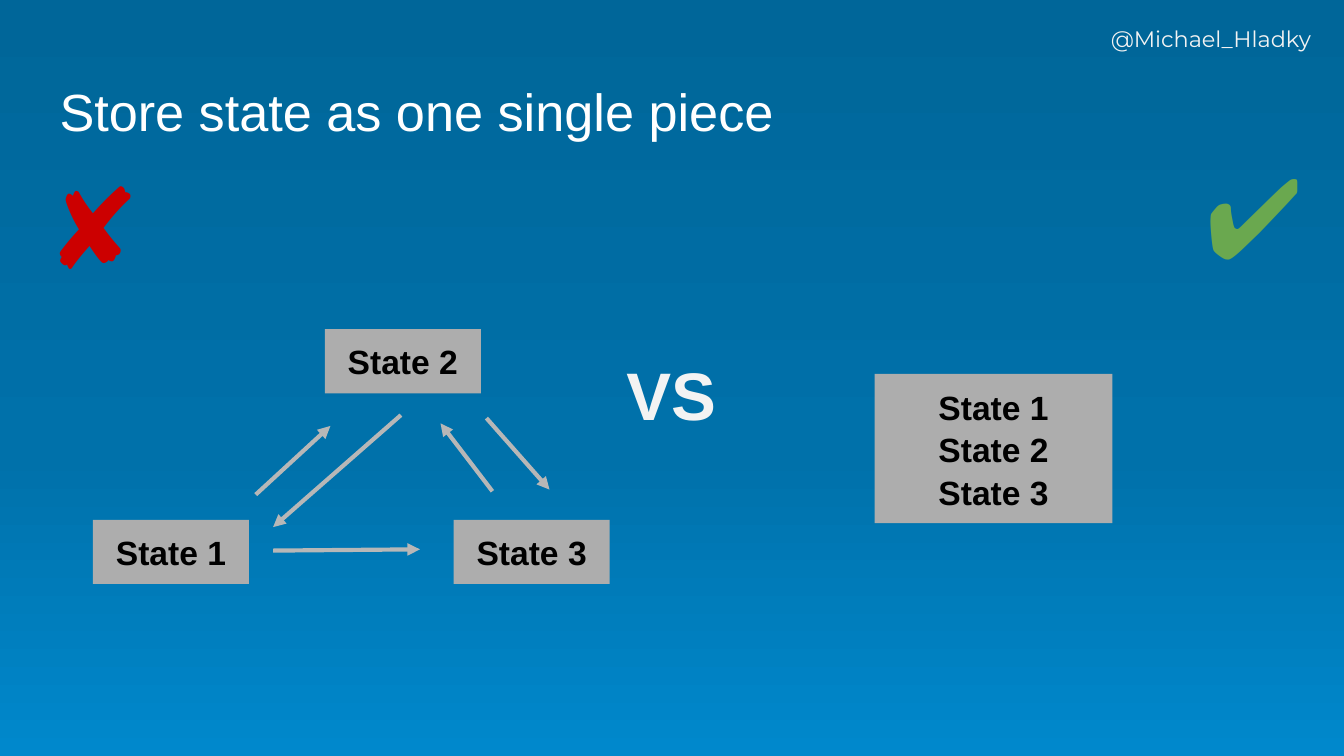
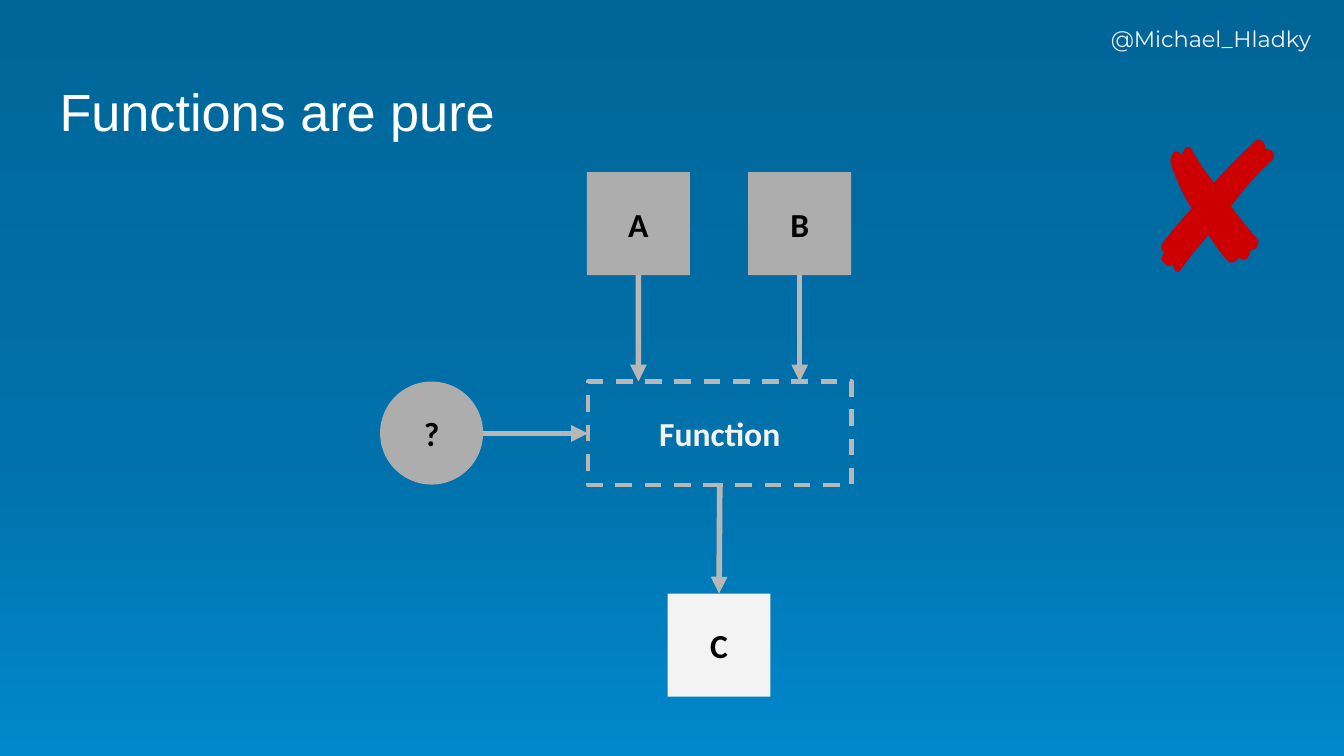
from copy import deepcopy

from lxml.etree import SubElement
from pptx import Presentation
from pptx.dml.color import RGBColor
from pptx.enum.dml import MSO_LINE
from pptx.enum.shapes import MSO_CONNECTOR, MSO_SHAPE
from pptx.enum.text import MSO_ANCHOR, PP_ALIGN
from pptx.oxml.ns import qn
from pptx.util import Pt

# Colours
WHITE = RGBColor(0xFF, 0xFF, 0xFF)
OFF_WHITE = RGBColor(0xF3, 0xF3, 0xF3)
BLACK = RGBColor(0, 0, 0)
GREY = RGBColor(0xAD, 0xAD, 0xAD)
LINE_GREY = RGBColor(0xB7, 0xB7, 0xB7)
RED = RGBColor(0xCC, 0, 0)
GREEN = RGBColor(0x6A, 0xA8, 0x4F)
BACKGROUND = [
    (0, RGBColor(0x00, 0x66, 0x99)),
    (0.6, RGBColor(0x00, 0x71, 0xAA)),
    (1, RGBColor(0x00, 0x88, 0xCC)),
]
INSET = Pt(7.2)


def write(shape, text, size=18, font="Arial", color=BLACK, bold=False,
          align=PP_ALIGN.LEFT, anchor=MSO_ANCHOR.TOP, spacing=1.0):
    """Fill a shape with one paragraph per line of text."""
    tf = shape.text_frame
    tf.word_wrap = True
    tf.vertical_anchor = anchor
    tf.margin_left = tf.margin_right = tf.margin_top = tf.margin_bottom = INSET
    for i, line in enumerate(text.split("\n")):
        p = tf.add_paragraph() if i else tf.paragraphs[0]
        p.alignment = align
        p.line_spacing = spacing
        r = p.add_run()
        r.text = line
        r.font.size = Pt(size)
        r.font.name = font
        r.font.bold = bold
        r.font.color.rgb = color


def add_text(s, x, y, w, h, text, **fmt):
    write(s.shapes.add_textbox(Pt(x), Pt(y), Pt(w), Pt(h)), text, **fmt)


def add_box(s, x, y, w, h, text, kind=MSO_SHAPE.RECTANGLE, fill=GREY, **fmt):
    """Add a labelled box; without a fill it gets a dashed outline."""
    sp = s.shapes.add_shape(kind, Pt(x), Pt(y), Pt(w), Pt(h))
    sp.shadow.inherit = False
    if fill is None:
        sp.fill.background()
        sp.line.color.rgb = LINE_GREY
        sp.line.width = Pt(2.25)
        sp.line.dash_style = MSO_LINE.DASH
    else:
        sp.fill.solid()
        sp.fill.fore_color.rgb = fill
        sp.line.fill.background()
    write(sp, text, bold=True, align=PP_ALIGN.CENTER,
          anchor=MSO_ANCHOR.MIDDLE, **fmt)
    return sp


def add_arrow(s, x1, y1, x2, y2, width):
    """Add an arrow pointing at (x2, y2)."""
    c = s.shapes.add_connector(MSO_CONNECTOR.STRAIGHT,
                               Pt(x1), Pt(y1), Pt(x2), Pt(y2))
    c.line.color.rgb = LINE_GREY
    c.line.width = Pt(width)
    SubElement(c.line._get_or_add_ln(), qn("a:tailEnd"), type="triangle")
    SubElement(c.element.spPr, qn("a:effectLst"))
    return c


def add_slide(prs, title):
    """Add a slide with the shared background, handle and title."""
    s = prs.slides.add_slide(prs.slide_layouts[6])
    fill = s.background.fill
    fill.gradient()
    fill.gradient_angle = 270
    gs_list = s.element.find(".//" + qn("a:gsLst"))
    gs_list.append(deepcopy(gs_list[0]))
    for stop, (position, color) in zip(fill.gradient_stops, BACKGROUND):
        stop.position = position
        stop.color.rgb = color
    add_text(s, 588, 6, 122.4, 32, "@Michael_Hladky",
             size=12, font="Montserrat", color=OFF_WHITE)
    add_text(s, 24.8, 35.4, 671, 45, title, size=28, color=WHITE)
    return s


def build_single_state(prs):
    s = add_slide(prs, "Store state as one single piece")

    # Separate states that update each other
    for x, y, label in [(49.8, 278.5, "State 1"), (243, 278.5, "State 3"),
                        (174, 176.4, "State 2")]:
        add_box(s, x, y, 83.6, 34.4, label)
    for ends in [(137, 265, 177, 228.2), (214.8, 222.4, 146.3, 282.4),
                 (146.3, 295, 225, 294.3), (263.8, 263.2, 236, 226.8),
                 (260.6, 224, 294.4, 262.3)]:
        add_arrow(s, *ends, 2.25)

    # One combined state
    add_box(s, 468.6, 200.3, 127.4, 80, "State 1\nState 2\nState 3",
            spacing=1.05)
    add_text(s, 322.6, 182.2, 74, 47, "VS", size=36, color=OFF_WHITE,
             bold=True, align=PP_ALIGN.CENTER)

    # Verdicts
    add_text(s, 18, 94.3, 53.3, 52.6, "✘", size=60, color=RED,
             anchor=MSO_ANCHOR.MIDDLE)
    add_text(s, 638.6, 84.2, 46.8, 60.5, "✔", size=60, font="Calibri",
             color=GREEN, anchor=MSO_ANCHOR.MIDDLE)


def build_pure_functions(prs):
    s = add_slide(prs, "Functions are pure")
    side, top = 55.2, 204.4

    # Inputs, function, hidden input and result
    a, b = [add_box(s, x, 92.2, side, side, label, font="Calibri")
            for x, label in [(314.4, "A"), (400.8, "B")]]
    c = add_box(s, 357.6, 318, side, side, "C", fill=OFF_WHITE, font="Calibri")
    add_box(s, 203.6, top, side, side, "?", kind=MSO_SHAPE.OVAL,
            font="Calibri")
    function = add_box(s, 315, top, 141.2, 55.6, "Function", fill=None,
                       font="Calibri", color=OFF_WHITE)

    # Flow
    for box, x in [(a, 342), (b, 428.4)]:
        add_arrow(s, x, 148, x, top, 3).begin_connect(box, 2)
    result = add_arrow(s, 385, 260, 385, 318, 3)
    result.begin_connect(function, 2)
    result.end_connect(c, 0)
    add_arrow(s, 258.8, 232.2, 315, 232.2, 3).end_connect(function, 1)

    # Verdict
    add_text(s, 603.4, 66.2, 85.7, 82.8, "✘", size=96, color=RED,
             anchor=MSO_ANCHOR.MIDDLE)


def main():
    prs = Presentation()
    prs.slide_width, prs.slide_height = Pt(720), Pt(405)
    build_single_state(prs)
    build_pure_functions(prs)
    prs.save("out.pptx")


if __name__ == "__main__":
    main()
